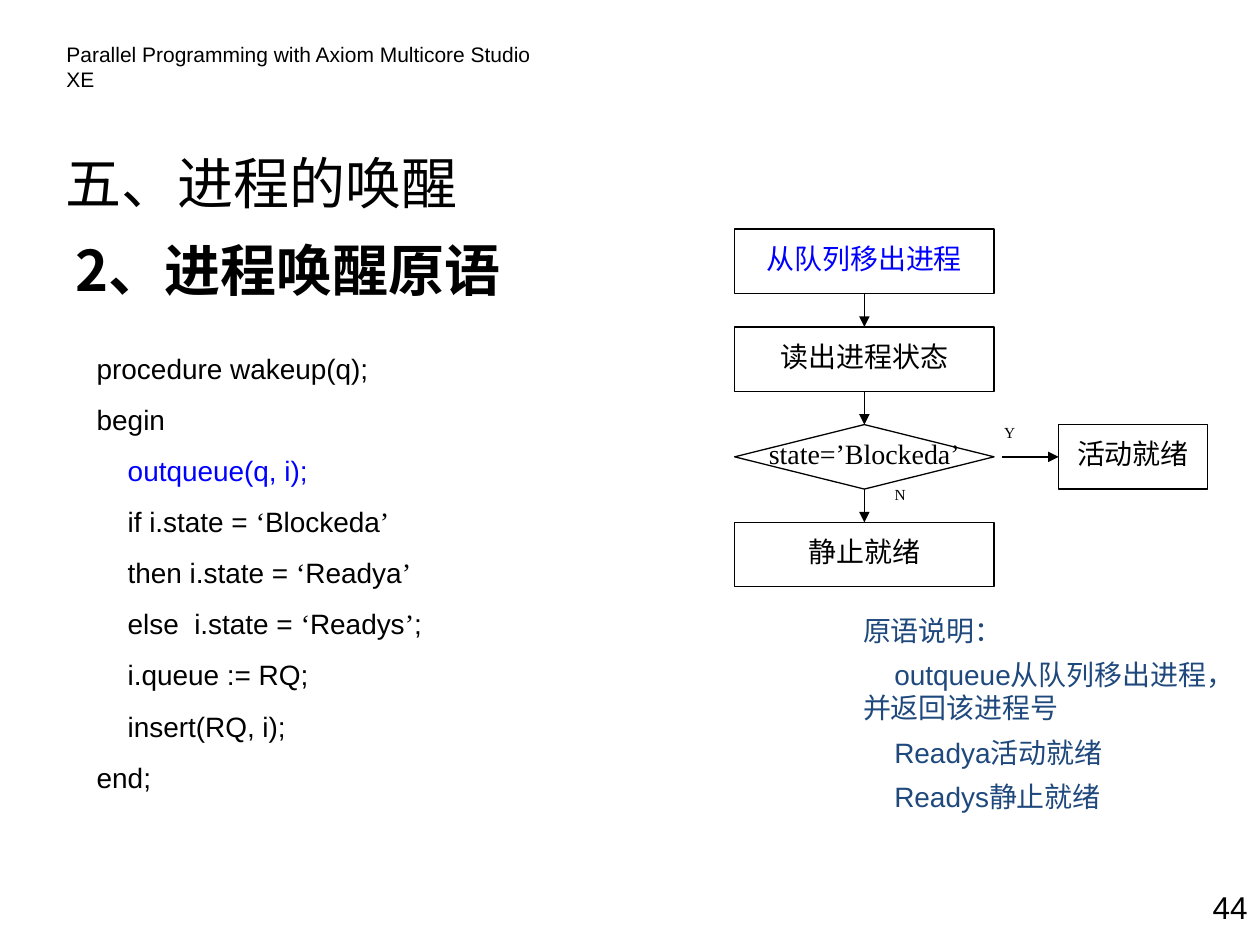
from lxml import etree
from pptx import Presentation
from pptx.dml.color import RGBColor
from pptx.enum.shapes import MSO_CONNECTOR, MSO_SHAPE
from pptx.enum.text import MSO_ANCHOR, PP_ALIGN
from pptx.oxml.ns import qn
from pptx.util import Cm, Pt

BLACK = RGBColor(0x00, 0x00, 0x00)
WHITE = RGBColor(0xFF, 0xFF, 0xFF)
BLUE = RGBColor(0x00, 0x00, 0xFF)
NAVY = RGBColor(0x1F, 0x49, 0x7D)
SANS, SERIF, CJK = "Arial", "Times New Roman", "Noto Sans CJK SC"
LEFT, CENTER, RIGHT = PP_ALIGN.LEFT, PP_ALIGN.CENTER, PP_ALIGN.RIGHT
TOP, MIDDLE = MSO_ANCHOR.TOP, MSO_ANCHOR.MIDDLE
RECTANGLE, DECISION = MSO_SHAPE.RECTANGLE, MSO_SHAPE.FLOWCHART_DECISION
STRAIGHT = MSO_CONNECTOR.STRAIGHT

deck = Presentation()
deck.slide_width, deck.slide_height = Cm(25.4), Cm(19.05)
page = deck.slides.add_slide(deck.slide_layouts[6])


def write(box, lines, size, font=SANS, color=BLACK, align=LEFT, gap=0, bold=False):
    """Fill a box with one paragraph per line; a line is a list of run texts."""
    frame = box.text_frame
    frame.word_wrap = True
    for index, texts in enumerate(lines):
        para = frame.paragraphs[0] if index == 0 else frame.add_paragraph()
        for text in texts:
            para.add_run().text = text
        para.alignment = align
        para.space_before = Pt(gap if index else 0)
        para.font.size, para.font.bold = Pt(size), bold
        para.font.color.rgb = color
        para.font.name = font
        properties = para._p.pPr.find(qn("a:defRPr"))
        etree.SubElement(properties, qn("a:ea"), typeface=CJK)
    return frame


def flow_text(box, text, size=16, color=BLACK, bottom=0.13):
    """Centre a flowchart label in its box."""
    frame = write(box, [[text]], size, SERIF, color, CENTER)
    frame.margin_left = frame.margin_right = 0
    frame.margin_top, frame.margin_bottom = Cm(0.25), Cm(bottom)
    frame.vertical_anchor = TOP
    return frame


# Header, titles and page number
for left, top, width, height, text, size, font, bold, align, anchor in [
    (1.09, 0.71, 10.41, 0.76, "Parallel Programming with Axiom Multicore Studio XE",
     12, SANS, False, LEFT, TOP),
    (1.07, 2.72, 14.4, 1.9, "五、进程的唤醒", 32, CJK, False, LEFT, MIDDLE),
    (1.27, 4.62, 11.63, 1.9, "2、进程唤醒原语", 32, CJK, True, LEFT, TOP),
    (23.7, 17.78, 1.7, 1.02, "44", 18, SANS, False, RIGHT, TOP),
]:
    box = page.shapes.add_textbox(Cm(left), Cm(top), Cm(width), Cm(height))
    frame = write(box, [[text]], size, font, align=align, bold=bold)
    frame.vertical_anchor = anchor

# Wakeup procedure, with serif quotes and the queue call in blue
code = [
    ["procedure wakeup(q);"],
    ["begin"],
    ["    ", "outqueue(q, i);"],
    ["    if i.state = ", "‘", "Blockeda", "’"],
    ["    then i.state = ", "‘", "Readya", "’"],
    ["    else  i.state = ", "‘", "Readys", "’", ";"],
    ["    i.queue := RQ;"],
    ["    insert(RQ, i);"],
    ["end;"],
]
box = page.shapes.add_textbox(Cm(1.7), Cm(6.96), Cm(9.53), Cm(9.17))
for para in write(box, code, 16, gap=10).paragraphs:
    for span in para.runs:
        if span.text in "‘’":
            span.font.name = SERIF
        elif span.text.startswith("outqueue"):
            span.font.color.rgb = BLUE

# Explanation of the primitive
notes = [["原语说明："], ["outqueue从队列移出进程，并返回该进程号"],
         ["Readya活动就绪"], ["Readys静止就绪"]]
box = page.shapes.add_textbox(Cm(17.15), Cm(12.24), Cm(7.62), Cm(4.29))
for para in write(box, notes, 16, color=NAVY, gap=6).paragraphs[1:]:
    para._p.pPr.set("indent", str(Cm(0.63)))

# Flowchart boxes: one column of four steps and a branch beside the decision
step_left, step_top, step_pitch = 14.81, 4.62, 1.97
step_width, step_height = 5.23, 1.3
decision_top = step_top + 2 * step_pitch
nodes = []
for kind, left, top, width, text, color in [
    (RECTANGLE, step_left, step_top, step_width, "从队列移出进程", BLUE),
    (RECTANGLE, step_left, step_top + step_pitch, step_width, "读出进程状态", BLACK),
    (DECISION, step_left, decision_top, step_width, "", BLACK),
    (RECTANGLE, step_left, step_top + 3 * step_pitch, step_width, "静止就绪", BLACK),
    (RECTANGLE, 21.34, decision_top, 3, "活动就绪", BLACK),
]:
    node = page.shapes.add_shape(kind, Cm(left), Cm(top), Cm(width), Cm(step_height))
    node.shadow.inherit = False
    node.fill.solid()
    node.fill.fore_color.rgb = WHITE
    node.line.color.rgb = BLACK
    node.line.width = Pt(0.75)
    if text:
        flow_text(node, text, color=color)
    nodes.append(node)

# Decision condition and branch labels
for left, top, width, height, text, size, bottom in [
    (step_left, decision_top, step_width, step_height, "state=’Blockeda’", 16, 0.13),
    (17.27, 9.6, 1.75, 0.66, "N", 8.8, 0),
    (19.48, 8.36, 1.75, 0.66, "Y", 8.8, 0),
]:
    box = page.shapes.add_textbox(Cm(left), Cm(top), Cm(width), Cm(height))
    frame = flow_text(box, text, size, bottom=bottom)
    if bottom == 0:
        frame.paragraphs[0].line_spacing = 0.8

# Arrows: down the column, then across to the branch
first, read, decision, static, active = nodes
branch_y = Cm(decision_top + step_height / 2)
for start, end, side in [(first, read, 0), (read, decision, 0),
                         (decision, static, 0), (None, active, 1)]:
    arrow = page.shapes.add_connector(STRAIGHT, Cm(20.19), branch_y, Cm(21.34), branch_y)
    if start is not None:
        arrow.begin_connect(start, 2)
    arrow.end_connect(end, side)
    arrow.line.color.rgb = BLACK
    arrow.line.width = Pt(0.75)
    etree.SubElement(arrow.line._get_or_add_ln(), qn("a:tailEnd"), type="triangle")
    etree.SubElement(arrow._element.spPr, qn("a:effectLst"))

deck.save("out.pptx")
